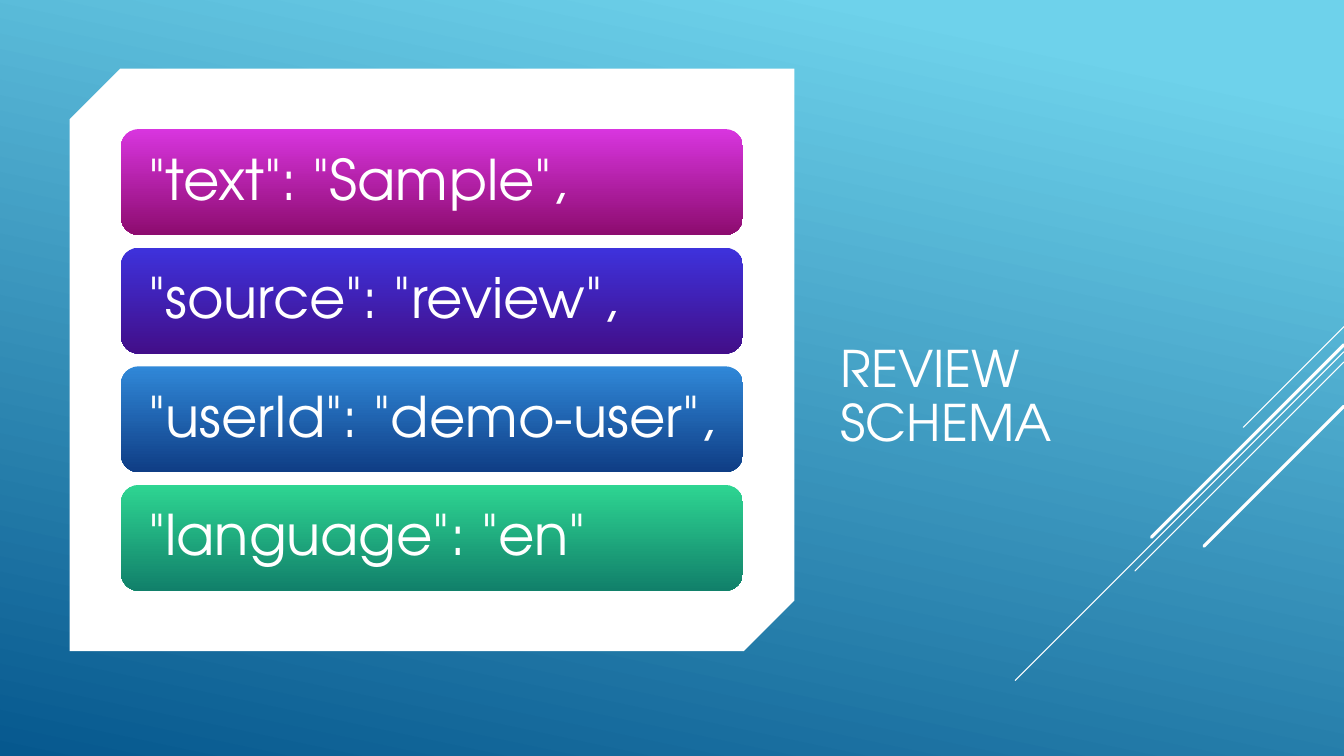
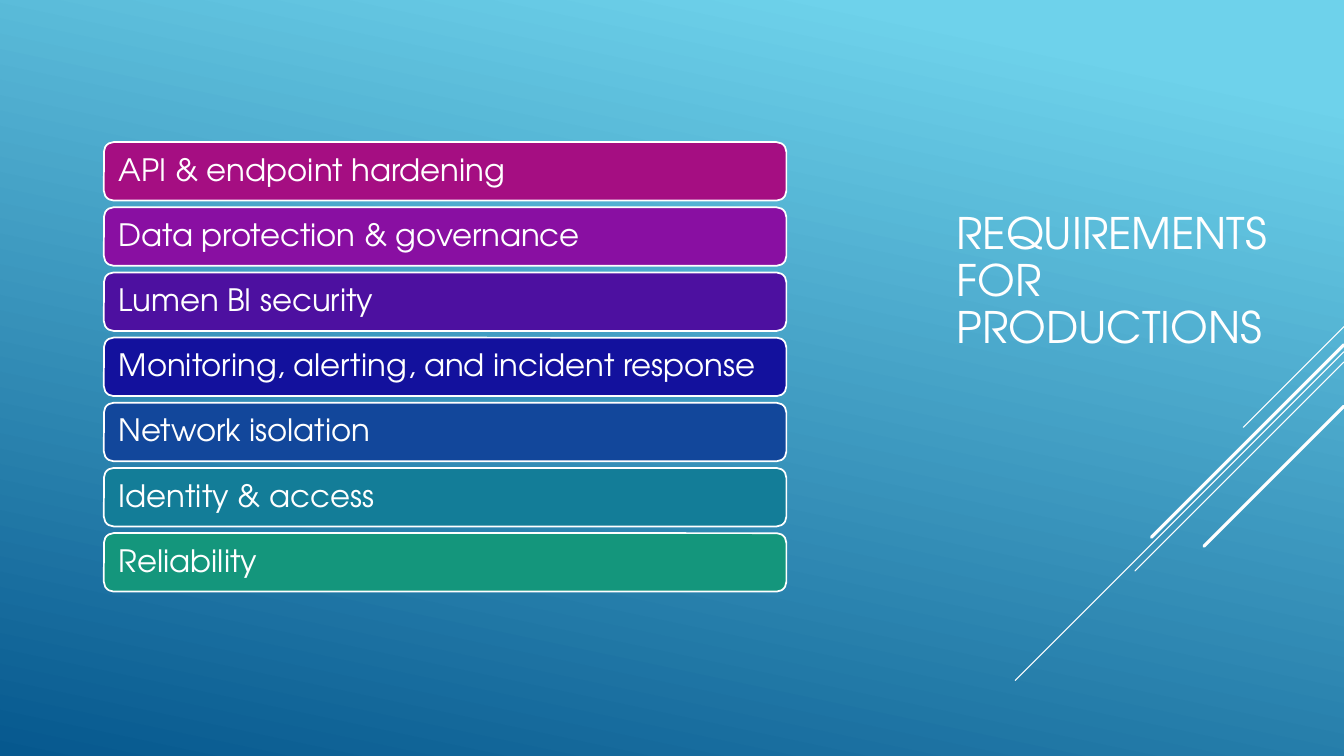
from lxml.etree import SubElement
from pptx import Presentation
from pptx.dml.color import RGBColor
from pptx.enum.shapes import MSO_CONNECTOR as Connector, MSO_SHAPE as Shape
from pptx.enum.text import MSO_ANCHOR as Anchor, MSO_AUTO_SIZE as AutoSize, PP_ALIGN as Align
from pptx.oxml.ns import qn
from pptx.util import Inches, Pt

WHITE = "FFFFFF"
FONT = "TeX Gyre Adventor"
BACKDROP = ("6ED2EB", "06588E")
TITLE_ONLY = 5

DIAGONALS = [
    (43.2, 13.33, 0.75),
    (46.53, 43.47, 0.75),
    (47.87, 27.65, 0.75),
    (45.6, 25.47, 2.25),
    (53.73, 18.53, 2.25),
]
SCHEMA_FIELDS = [
    ('"text": "Sample",', ("D835DF", "8D0C6F")),
    ('"source": "review",', ("3E32DC", "420E89")),
    ('"userId": "demo-user",', ("3088D8", "0F3D85")),
    ('"language": "en"', ("2ED592", "11806A")),
]
REQUIREMENTS = [
    ("API & endpoint hardening", "A50E82"),
    ("Data protection & governance", "890FA2"),
    ("Lumen BI security", "4D10A0"),
    ("Monitoring, alerting, and incident response", "13119D"),
    ("Network isolation", "12479B"),
    ("Identity & access", "137D98"),
    ("Reliability", "14967C"),
]


def color(value):
    return RGBColor.from_string(value)


def apply(target, values):
    for name, value in values.items():
        setattr(target, name, value)


class SlideBuilder:
    def __init__(self):
        self.deck = Presentation()
        apply(self.deck, {"slide_width": Inches(13.333), "slide_height": Inches(7.5)})
        self.paint(self.deck.slide_master.background.fill, BACKDROP, angle=258, start=0.1)
        self.slide = None

    def x(self, share):
        return round(self.deck.slide_width * share / 100)

    def y(self, share):
        return round(self.deck.slide_height * share / 100)

    def area(self, left, top, width, height):
        return self.x(left), self.y(top), self.x(width), self.y(height)

    def paint(self, fill, paint, angle=270, start=0):
        if isinstance(paint, str):
            fill.solid()
            fill.fore_color.rgb = color(paint)
            return
        fill.gradient()
        fill.gradient_angle = angle
        for stop, value, position in zip(fill.gradient_stops, paint, (start, 1)):
            stop.color.rgb = color(value)
            stop.position = position

    def add_text(self, shape, text, size, anchor, inset, line_spacing=0.9):
        frame = shape.text_frame
        apply(frame, {
            "word_wrap": True,
            "auto_size": AutoSize.NONE,
            "vertical_anchor": anchor,
            "margin_left": Inches(inset),
            "margin_right": Inches(inset),
            "margin_top": Inches(0.05),
            "margin_bottom": Inches(0.05),
        })
        para = frame.paragraphs[0]
        apply(para, {"alignment": Align.LEFT, "line_spacing": line_spacing})
        span = para.add_run()
        span.text = text
        apply(span.font, {"name": FONT, "size": Pt(size), "bold": False})
        span.font.color.rgb = color(WHITE)

    def new_slide(self, title, size, area, anchor):
        self.slide = self.deck.slides.add_slide(self.deck.slide_layouts[TITLE_ONLY])
        box = self.slide.shapes.title
        apply(box, dict(zip(("left", "top", "width", "height"), self.area(*area))))
        self.add_text(box, title, size, anchor, inset=0.1)
        for start, drop, weight in DIAGONALS:
            self.diagonal(start, drop, weight)

    def diagonal(self, start, drop, weight):
        right = self.x(100)
        line = self.slide.shapes.add_connector(
            Connector.STRAIGHT, right, self.y(start),
            right - self.y(drop), self.y(start + drop))
        line.line.color.rgb = color(WHITE)
        line.line.width = Pt(weight)
        properties = line.element.spPr
        properties.ln.set("cap", "rnd")
        SubElement(properties, qn("a:effectLst"))

    def block(self, kind, area, paint, outline=None):
        shape = self.slide.shapes.add_shape(kind, *self.area(*area))
        shape.shadow.inherit = False
        self.paint(shape.fill, paint)
        if outline:
            shape.line.color.rgb = color(WHITE)
            shape.line.width = Pt(outline)
        else:
            shape.line.fill.background()
        return shape

    def panel(self, area, snip):
        panel = self.block(Shape.SNIP_2_DIAG_RECTANGLE, area, WHITE)
        panel.adjustments[0] = snip
        panel.adjustments[1] = 0

    def bars(self, entries, area, pitch, size, inset, outline=None):
        left, top, width, height = area
        for row, (text, paint) in enumerate(entries):
            bar = self.block(Shape.ROUNDED_RECTANGLE,
                             (left, top + row * pitch, width, height), paint, outline)
            self.add_text(bar, text, size, Anchor.MIDDLE, inset)


def main():
    builder = SlideBuilder()

    builder.new_slide("REVIEW SCHEMA", 36, (61.8, 9.07, 30, 51.47), Anchor.BOTTOM)
    builder.panel((5.18, 9.07, 53.93, 77.07), snip=0.087)
    builder.bars(SCHEMA_FIELDS, (9, 17.07, 46.28, 14), pitch=15.69, size=40, inset=0.22)

    builder.new_slide("REQUIREMENTS FOR PRODUCTIONS", 31,
                      (70.43, 13.73, 24.98, 47.33), Anchor.MIDDLE)
    builder.bars(REQUIREMENTS, (7.73, 18.8, 50.78, 7.73), pitch=8.62, size=22,
                 inset=0.12, outline=1.25)

    builder.deck.save("out.pptx")


if __name__ == "__main__":
    main()
